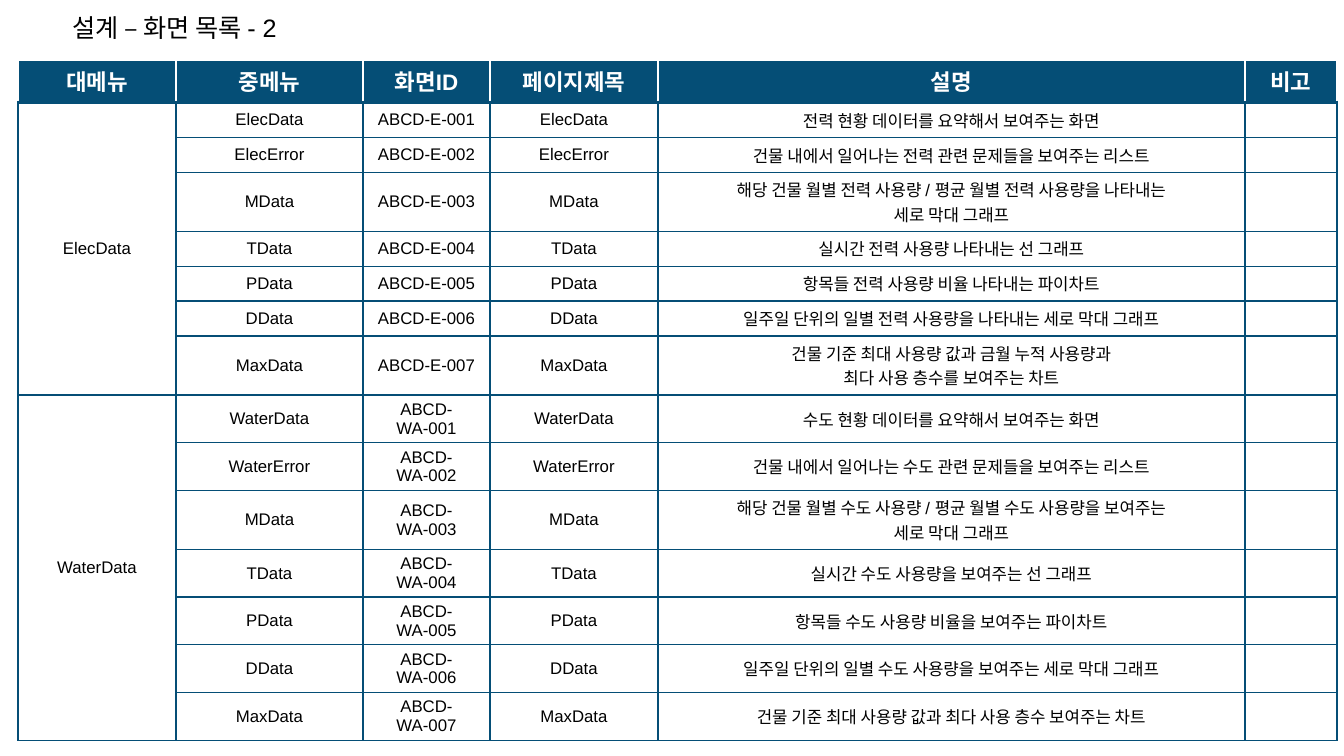
import dataclasses

import lxml.etree
import pptx
import pptx.dml.color
import pptx.enum.text
import pptx.oxml.ns
import pptx.util

EMU_PER_PX = 914400 / 100.8
FONT = "Arial"
NAVY = "054E76"
WHITE = "FFFFFF"
BLACK = "000000"
COLUMN_WIDTHS = (158, 187, 127, 168, 587, 92)
HEADER_HEIGHT = 42
HEADINGS = ("대메뉴", "중메뉴", "화면ID", "페이지제목", "설명", "비고")


@dataclasses.dataclass(frozen=True)
class Screen:
    name: str
    description: tuple[str, ...]
    height: int = 45


@dataclasses.dataclass(frozen=True)
class Menu:
    name: str
    code: str
    screens: tuple[Screen, ...]


@dataclasses.dataclass(frozen=True)
class CellStyle:
    size: int
    bold: bool
    color: str
    fill: str
    side: str
    top: tuple[str, int]
    bottom: tuple[str, int]


HEADER = CellStyle(16, True, WHITE, NAVY, WHITE, (WHITE, 1), (NAVY, 3))
BODY = CellStyle(12, False, BLACK, WHITE, NAVY, (NAVY, 1), (NAVY, 1))
FIRST_BODY = dataclasses.replace(BODY, top=(NAVY, 3))

MENUS = (
    Menu("ElecData", "E", (
        Screen("ElecData", ("전력 현황 데이터를 요약해서 보여주는 화면",), 35),
        Screen("ElecError", ("건물 내에서 일어나는 전력 관련 문제들을 보여주는 리스트",), 35),
        Screen("MData", ("해당 건물 월별 전력 사용량 / 평균 월별 전력 사용량을 나타내는", "세로 막대 그래프")),
        Screen("TData", ("실시간 전력 사용량 나타내는 선 그래프",), 35),
        Screen("PData", ("항목들 전력 사용량 비율 나타내는 파이차트",), 35),
        Screen("DData", ("일주일 단위의 일별 전력 사용량을 나타내는 세로 막대 그래프",), 35),
        Screen("MaxData", ("건물 기준 최대 사용량 값과 금월 누적 사용량과", "최다 사용 층수를 보여주는 차트")),
    )),
    Menu("WaterData", "WA", (
        Screen("WaterData", ("수도 현황 데이터를 요약해서 보여주는 화면",)),
        Screen("WaterError", ("건물 내에서 일어나는 수도 관련 문제들을 보여주는 리스트",)),
        Screen("MData", ("해당 건물 월별 수도 사용량 / 평균 월별 수도 사용량을 보여주는", "세로 막대 그래프")),
        Screen("TData", ("실시간 수도 사용량을 보여주는 선 그래프",)),
        Screen("PData", ("항목들 수도 사용량 비율을 보여주는 파이차트",)),
        Screen("DData", ("일주일 단위의 일별 수도 사용량을 보여주는 세로 막대 그래프",)),
        Screen("MaxData", ("건물 기준 최대 사용량 값과 최다 사용 층수 보여주는 차트",)),
    )),
)


def px(value: int) -> pptx.util.Emu:
    return pptx.util.Emu(round(value * EMU_PER_PX))


def rgb(color: str) -> pptx.dml.color.RGBColor:
    return pptx.dml.color.RGBColor.from_string(color)


def add_span(para, text: str, size: int, color: str, bold: bool = False) -> None:
    span = para.add_run()
    span.text = text
    span.font.name = FONT
    span.font.size = pptx.util.Pt(size)
    span.font.bold = bold
    span.font.color.rgb = rgb(color)


def add_border(cell, tag: str, color: str, width: int) -> None:
    qn = pptx.oxml.ns.qn
    properties = cell._tc.get_or_add_tcPr()
    line = lxml.etree.SubElement(properties, qn(tag), w=str(pptx.util.Pt(width)))
    fill = lxml.etree.SubElement(line, qn("a:solidFill"))
    lxml.etree.SubElement(fill, qn("a:srgbClr"), val=color)


def format_cell(cell, lines: tuple[str, ...], style: CellStyle) -> None:
    add_border(cell, "a:lnL", style.side, 1)
    add_border(cell, "a:lnR", style.side, 1)
    add_border(cell, "a:lnT", *style.top)
    add_border(cell, "a:lnB", *style.bottom)
    cell.fill.solid()
    cell.fill.fore_color.rgb = rgb(style.fill)
    cell.vertical_anchor = pptx.enum.text.MSO_ANCHOR.MIDDLE
    frame = cell.text_frame
    for index, text in enumerate(lines):
        para = frame.add_paragraph() if index else frame.paragraphs[0]
        para.alignment = pptx.enum.text.PP_ALIGN.CENTER
        add_span(para, text, style.size, style.color, style.bold)
    if not lines:
        end = lxml.etree.SubElement(frame.paragraphs[0]._p, pptx.oxml.ns.qn("a:endParaRPr"))
        end.set("sz", str(style.size * 100))


def fill_row(table, row: int, values: tuple[tuple[str, ...], ...], style: CellStyle) -> None:
    for column, lines in enumerate(values):
        format_cell(table.cell(row, column), lines, style)


def add_title(page, text: str) -> None:
    box = page.shapes.title
    box.left, box.top, box.width, box.height = px(62), px(0), px(398), px(59)
    frame = box.text_frame
    frame.word_wrap = True
    frame.auto_size = pptx.enum.text.MSO_AUTO_SIZE.NONE
    frame.vertical_anchor = pptx.enum.text.MSO_ANCHOR.MIDDLE
    para = frame.paragraphs[0]
    para.alignment = pptx.enum.text.PP_ALIGN.LEFT
    para.line_spacing = 0.9
    add_span(para, text, 18, BLACK)


def add_screen_table(page) -> None:
    heights = [HEADER_HEIGHT] + [screen.height for menu in MENUS for screen in menu.screens]
    table = page.shapes.add_table(
        len(heights), len(COLUMN_WIDTHS), px(18), px(60), px(sum(COLUMN_WIDTHS)), px(sum(heights))
    ).table
    table.horz_banding = False
    for column, width in zip(table.columns, COLUMN_WIDTHS):
        column.width = px(width)
    for row, height in zip(table.rows, heights):
        row.height = px(height)

    fill_row(table, 0, tuple((heading,) for heading in HEADINGS), HEADER)
    first = 1
    for menu in MENUS:
        for index, screen in enumerate(menu.screens):
            menu_lines = () if index else (menu.name,)
            screen_id = f"ABCD-{menu.code}-{index + 1:03d}"
            values = (menu_lines, (screen.name,), (screen_id,), (screen.name,), screen.description, ())
            fill_row(table, first + index, values, FIRST_BODY if first + index == 1 else BODY)
        last = first + len(menu.screens) - 1
        table.cell(first, 0).merge(table.cell(last, 0))
        first = last + 1


def main() -> None:
    deck = pptx.Presentation()
    deck.slide_width, deck.slide_height = px(1344), px(756)
    page = deck.slides.add_slide(deck.slide_layouts.get_by_name("Title Only"))
    add_title(page, "설계 – 화면 목록 - 2")
    add_screen_table(page)
    deck.save("out.pptx")


if __name__ == "__main__":
    main()
